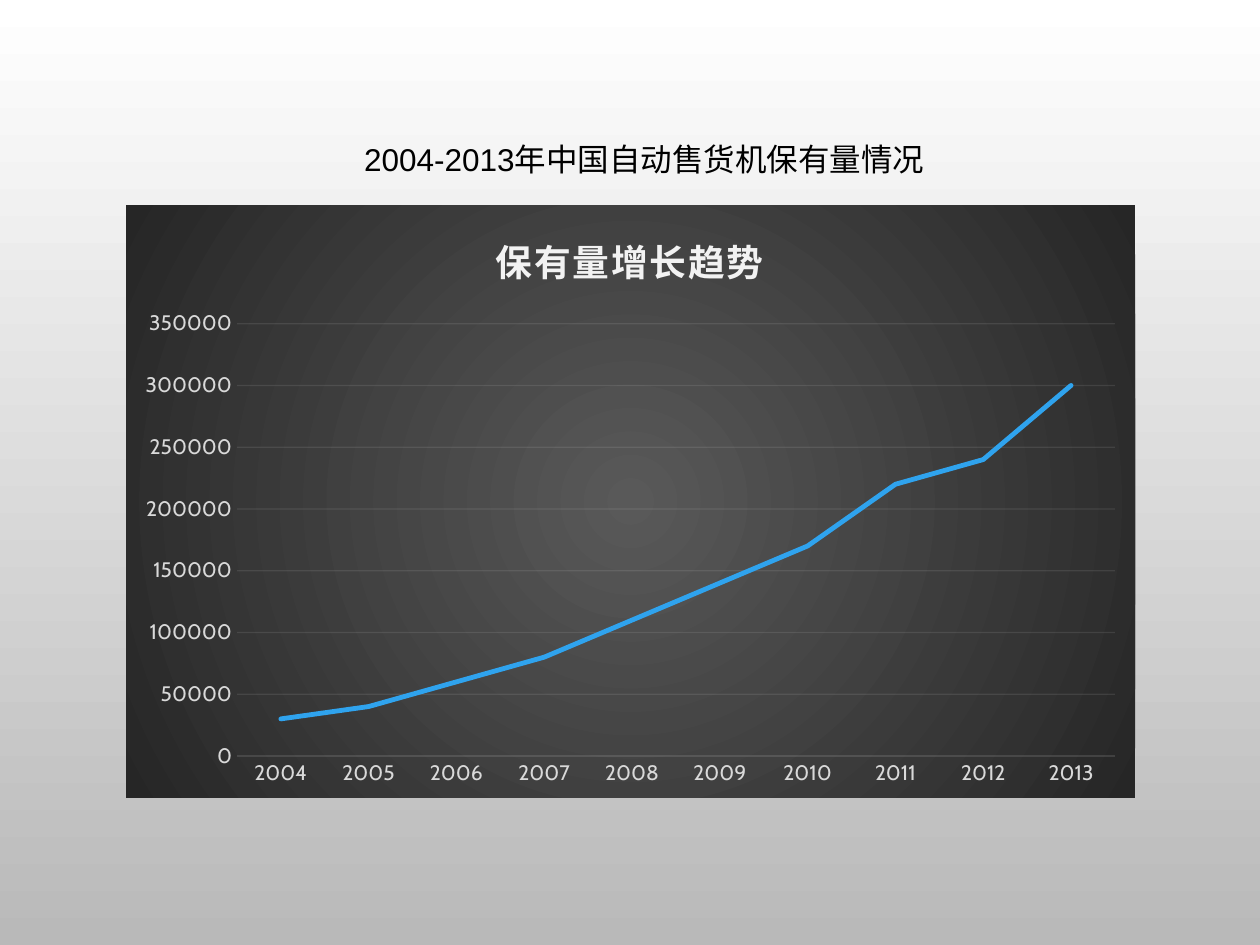
from lxml.etree import SubElement
from pptx import Presentation
from pptx.chart.data import CategoryChartData
from pptx.dml.color import RGBColor
from pptx.enum.chart import XL_CHART_TYPE, XL_TICK_MARK
from pptx.enum.text import MSO_ANCHOR, MSO_AUTO_SIZE, PP_ALIGN
from pptx.oxml import parse_xml
from pptx.oxml.ns import nsdecls, qn
from pptx.util import Inches, Pt

BLACK = RGBColor(0, 0, 0)
WHITE = RGBColor(0xFF, 0xFF, 0xFF)
SILVER = RGBColor(0xB9, 0xB9, 0xB9)
PALE = RGBColor(0xF2, 0xF2, 0xF2)
LABEL = RGBColor(0xD9, 0xD9, 0xD9)
BLUE = RGBColor(0x2F, 0xA3, 0xEE)
GREY = RGBColor(0x59, 0x59, 0x59)
DARK = RGBColor(0x26, 0x26, 0x26)

YEARS = [str(year) for year in range(2004, 2014)]
STOCK = [30000, 40000, 60000, 80000, 110000, 140000, 170000, 220000, 240000, 300000]


def style(font, size, color, face, bold=False):
    font.size = Pt(size)
    font.name = face
    font.bold = bold
    font.color.rgb = color


def write(frame, text, size=18, color=BLACK, face="Arial", bold=False, align=None):
    para = frame.paragraphs[0]
    para.alignment = align
    run = para.add_run()
    run.text = text
    style(run.font, size, color, face, bold)
    return run


def shade(slide):
    fill = slide.background.fill
    fill.gradient()
    fill.gradient_angle = 270
    for stop, color, spot in zip(fill.gradient_stops, (WHITE, SILVER), (0, 1)):
        stop.color.rgb = color
        stop.position = spot


def add_title(slide):
    title = slide.shapes.title
    title.left, title.top = Inches(2.79), Inches(1.06)
    title.width, title.height = Inches(4.77), Inches(0.4)
    frame = title.text_frame
    frame.auto_size = MSO_AUTO_SIZE.NONE
    frame.vertical_anchor = MSO_ANCHOR.TOP
    write(frame, "2004-2013年中国自动售货机保有量情况", align=PP_ALIGN.LEFT)


def place(node, index, **sizes):
    old = node.find(qn("c:layout"))
    if old is not None:
        node.remove(old)
    layout = parse_xml(f"<c:layout {nsdecls('c')}><c:manualLayout/></c:layout>")
    for tag, value in sizes.items():
        SubElement(layout[0], qn(f"c:{tag}")).set("val", str(value))
    node.insert(index, layout)


def fill_round(chart):
    props = parse_xml(
        f'<c:spPr {nsdecls("c", "a")}><a:gradFill><a:gsLst>'
        f'<a:gs pos="0"><a:srgbClr val="{GREY}"/></a:gs>'
        f'<a:gs pos="100000"><a:srgbClr val="{DARK}"/></a:gs></a:gsLst>'
        '<a:path path="circle"><a:fillToRect l="50000" t="50000" r="50000" b="50000"/>'
        "</a:path></a:gradFill><a:ln><a:noFill/></a:ln></c:spPr>"
    )
    chart.element.find(qn("c:chart")).addnext(props)


def faint(form):
    form.line.width = Pt(0.75)
    form.line.color.rgb = PALE
    for color in form.line._get_or_add_ln().iter(qn("a:srgbClr")):
        SubElement(color, qn("a:alpha")).set("val", "10000")


def set_axis(axis):
    axis.major_tick_mark = XL_TICK_MARK.NONE
    axis.minor_tick_mark = XL_TICK_MARK.NONE
    style(axis.tick_labels.font, 12, LABEL, "Cabin")


def add_trend(slide):
    data = CategoryChartData()
    data.categories = YEARS
    data.add_series("Series 1", STOCK)
    chart = slide.shapes.add_chart(
        XL_CHART_TYPE.LINE_STACKED, Inches(1), Inches(1.63), Inches(8.01), Inches(4.7), data
    ).chart
    fill_round(chart)
    style(chart.font, 10, BLACK, "Cabin")
    chart.has_legend = False

    title = chart.chart_title
    run = write(title.text_frame, "保有量增长趋势", size=21, color=PALE, face="Cabin", bold=True)
    run.font._element.set("spc", "100")
    place(title.element, 1, xMode="edge", yMode="edge", x=0.36, y=0.03)
    area = chart.element.find(qn("c:chart")).find(qn("c:plotArea"))
    place(area, 0, layoutTarget="inner", xMode="edge", yMode="edge",
          x=0.11, y=0.2, w=0.87, h=0.73)

    cats, vals = chart.category_axis, chart.value_axis
    for axis in (cats, vals):
        set_axis(axis)
    cats.has_major_gridlines = False
    faint(cats.format)
    vals.minimum_scale, vals.maximum_scale, vals.major_unit = 0, 350000, 50000
    vals.format.line.fill.background()
    vals.has_major_gridlines = True
    faint(vals.major_gridlines.format)

    plot = chart.plots[0]
    plot.vary_by_categories = False
    series = plot.series[0]
    series.smooth = False
    line = series.format.line
    line.width = Pt(2.75)
    line.color.rgb = BLUE
    line._get_or_add_ln().set("cap", "rnd")


def main():
    deck = Presentation()
    deck.slide_width, deck.slide_height = Inches(10), Inches(7.5)
    slide = deck.slides.add_slide(deck.slide_layouts[5])
    shade(slide)
    add_title(slide)
    add_trend(slide)
    deck.save("out.pptx")


if __name__ == "__main__":
    main()
